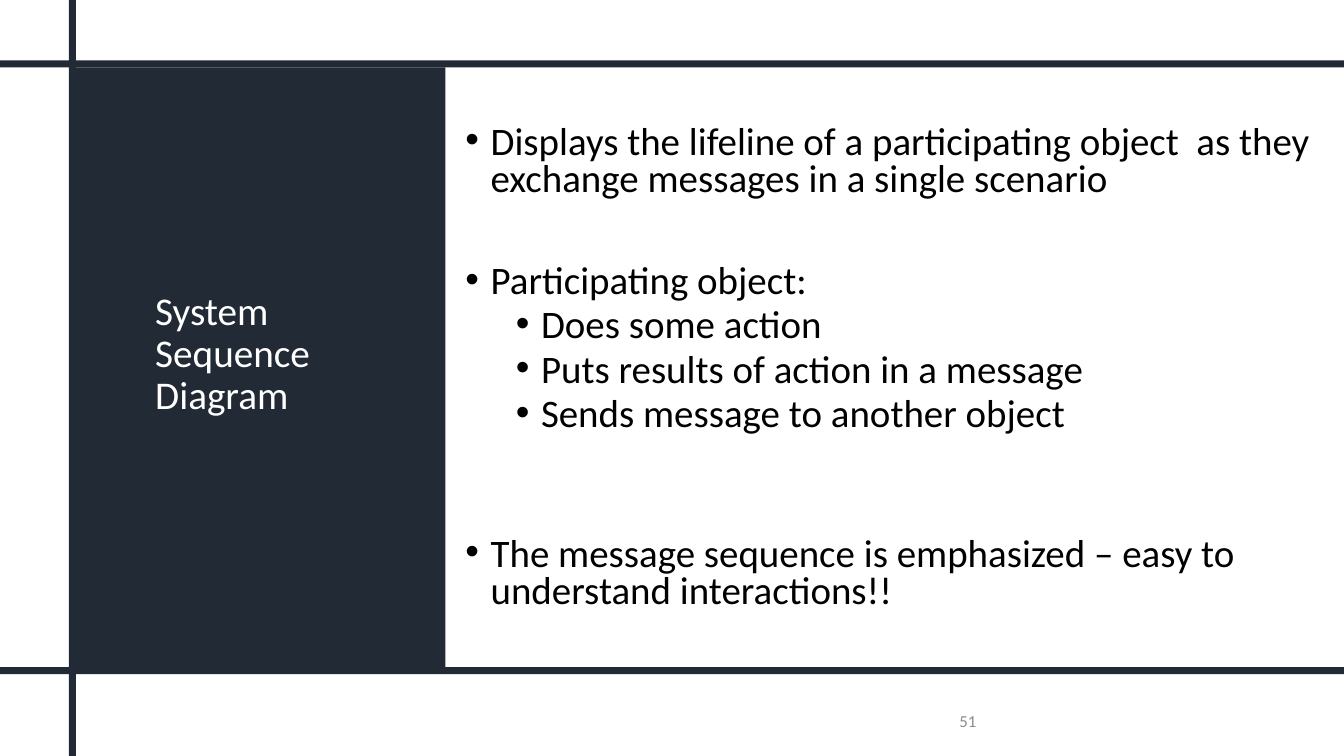
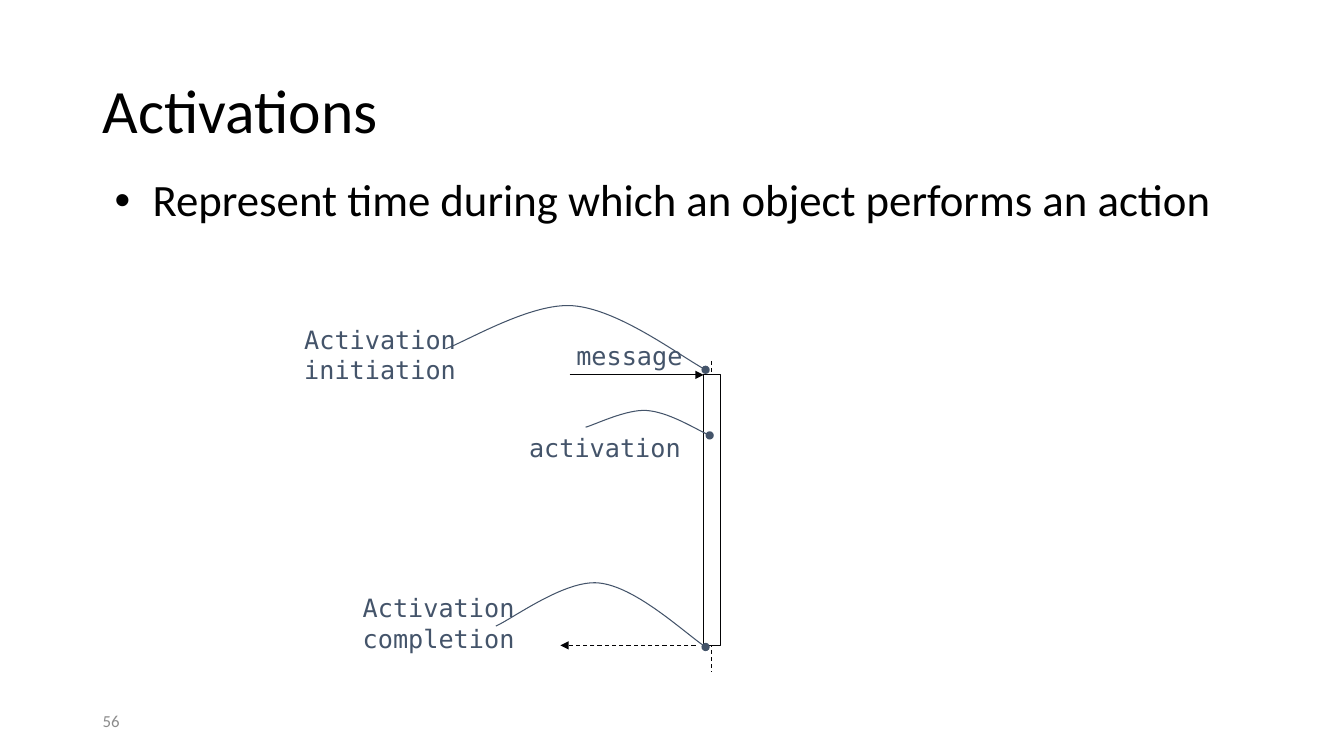
from dataclasses import dataclass

from lxml.etree import SubElement
from pptx import Presentation
from pptx.dml.color import RGBColor
from pptx.enum.dml import MSO_LINE
from pptx.enum.shapes import MSO_CONNECTOR, MSO_SHAPE
from pptx.enum.text import MSO_ANCHOR, MSO_AUTO_SIZE, PP_ALIGN
from pptx.oxml.ns import qn
from pptx.util import Pt


@dataclass(frozen=True)
class Theme:
    navy: str = "222A35"
    slate: str = "44546A"
    gray: str = "8C8C8C"
    ink: str = "030305"
    black: str = "000000"
    white: str = "FFFFFF"
    sans: str = "Calibri"
    mono: str = "DejaVu Sans Mono"
    title_size: float = 44
    panel_title_size: float = 28
    bullet_size: float = 32
    panel_bullet_size: float = 27.8
    label_size: float = 18
    number_size: float = 12
    line_width: float = 0.75


THEME = Theme()
WIDTH, HEIGHT = 960, 540
BAND = 5

SEQUENCE_TITLE = "System Sequence Diagram"
SEQUENCE_BULLETS = [
    ("Displays the lifeline of a participating object  as they exchange messages in a single scenario", 0, 0),
    ("Participating object:", 0, 46),
    ("Does some action", 1, 5),
    ("Puts results of action in a message", 1, 5),
    ("Sends message to another object", 1, 5),
    ("The message sequence is emphasized – easy to understand interactions!!", 0, 73),
]
BANDS = [
    (0, 476.6, WIDTH, BAND),
    (49.3, 0, BAND, HEIGHT),
    (0, 43.2, WIDTH, BAND),
]

ACTIVATION_TITLE = "Activations"
ACTIVATION_BULLETS = [("Represent time during which an object performs an action", 0, 0)]
LABELS = [
    (["message"], (404.6, 239.8, 91, 29)),
    (["activation"], (370.8, 305.3, 123, 29)),
    (["Activation", "initiation"], (210.2, 228.2, 123, 51)),
    (["Activation", "completion"], (252, 419.8, 123, 51)),
]
ACTIVATION_BAR = (502.6, 267.8, 12.2, 193.4)
LIFELINE = ((508.5, 257.8), (508.5, 480.2))
MESSAGE_ARROW = ((406.8, 267.8), (502.6, 267.8))
RETURN_ARROW = ((496.8, 461), (400.3, 461))
CALLOUT_CURVE = [(0, 0.69), (0.08, 0.58), (0.33, 0), (0.49, 0.05), (0.66, 0.1), (0.9, 0.79), (1, 1)]
CALLOUTS = [
    (418.3, 292.3, 88.6, 18.7),
    (354.2, 414, 149.8, 48.2),
    (318.2, 216, 185.8, 48.2),
]


def color(value):
    return RGBColor.from_string(value)


def place(shape, box):
    shape.left, shape.top, shape.width, shape.height = (Pt(length) for length in box)


def add_bullet(paragraph, level, hanging):
    properties = paragraph._p.get_or_add_pPr()
    properties.set("marL", str(Pt(hanging * (1 + 2 * level))))
    properties.set("indent", str(-Pt(hanging)))
    SubElement(properties, qn("a:buFont"), typeface="Arial")
    SubElement(properties, qn("a:buChar"), char="•")


def write_text(shape, items, *, size, fill, font=THEME.sans, anchor=MSO_ANCHOR.TOP,
               spacing=1.0, hanging=0, wrap=True):
    frame = shape.text_frame
    frame.auto_size = MSO_AUTO_SIZE.NONE
    frame.word_wrap = wrap
    frame.vertical_anchor = anchor
    for index, (text, level, before) in enumerate(items):
        paragraph = frame.add_paragraph() if index else frame.paragraphs[0]
        if hanging:
            add_bullet(paragraph, level, hanging)
        paragraph.level = level
        paragraph.alignment = PP_ALIGN.LEFT
        paragraph.line_spacing = spacing
        paragraph.space_before = Pt(before)
        run = paragraph.add_run()
        run.text = text
        run.font.name = font
        run.font.size = Pt(size)
        run.font.color.rgb = color(fill)


def add_text(slide, items, box, **text_format):
    shape = slide.shapes.add_textbox(*(Pt(length) for length in box))
    write_text(shape, items, **text_format)


def add_titled_slide(presentation, title, box, number, number_left, **title_format):
    slide = presentation.slides.add_slide(presentation.slide_layouts[5])
    place(slide.shapes.title, box)
    write_text(slide.shapes.title, [(title, 0, 0)], anchor=MSO_ANCHOR.MIDDLE,
               spacing=0.9, **title_format)
    add_text(slide, [(number, 0, 0)], (number_left, 500.4, 216, 28.8),
             size=THEME.number_size, fill=THEME.gray, anchor=MSO_ANCHOR.MIDDLE)
    return slide


def add_rectangle(slide, box, fill, outline=None):
    shape = slide.shapes.add_shape(MSO_SHAPE.RECTANGLE, *(Pt(length) for length in box))
    shape.shadow.inherit = False
    shape.fill.solid()
    shape.fill.fore_color.rgb = color(fill)
    if outline:
        style_line(shape, outline)
    else:
        shape.line.fill.background()
    return shape


def style_line(shape, stroke, dashed=False, head=None):
    shape.line.color.rgb = color(stroke)
    shape.line.width = Pt(THEME.line_width)
    if dashed:
        shape.line.dash_style = MSO_LINE.DASH
    if head:
        SubElement(shape.element.find(".//" + qn("a:ln")), qn("a:tailEnd"), type=head)


def add_line(slide, ends, **line_format):
    (left, top), (right, bottom) = ends
    connector = slide.shapes.add_connector(
        MSO_CONNECTOR.STRAIGHT, Pt(left), Pt(top), Pt(right), Pt(bottom))
    style_line(connector, THEME.ink, **line_format)
    SubElement(connector.element.spPr, qn("a:effectLst"))


def add_callout(slide, box):
    left, top, width, height = box
    points = [(Pt(left + x * width), Pt(top + y * height)) for x, y in CALLOUT_CURVE]
    builder = slide.shapes.build_freeform(*points[0])
    builder.add_line_segments(points[1:], close=False)
    shape = builder.convert_to_shape()
    outline = shape.element.find(".//" + qn("a:path"))
    segments = outline.findall(qn("a:lnTo"))
    for start in range(0, len(segments), 3):
        curve = SubElement(outline, qn("a:cubicBezTo"))
        for segment in segments[start:start + 3]:
            curve.append(segment[0])
            outline.remove(segment)
    shape.shadow.inherit = False
    shape.fill.background()
    style_line(shape, THEME.slate, head="oval")


def build_sequence_slide(presentation):
    slide = add_titled_slide(presentation, SEQUENCE_TITLE, (103.7, 79.2, 159.8, 348.5),
                             "51", 678.2, size=THEME.panel_title_size, fill=THEME.white)
    panel = add_rectangle(slide, (51.8, 48.2, 266.4, 428.4), THEME.navy)
    slide.shapes.title.element.addprevious(panel.element)
    add_text(slide, SEQUENCE_BULLETS, (325.4, 86, 633.6, 370), size=THEME.panel_bullet_size,
             fill=THEME.black, spacing=0.8, hanging=18)
    for band in BANDS:
        add_rectangle(slide, band, THEME.navy)


def build_activation_slide(presentation):
    slide = add_titled_slide(presentation, ACTIVATION_TITLE, (66.2, 28.8, 828, 104.4),
                             "56", 66.2, size=THEME.title_size, fill=THEME.black)
    add_text(slide, ACTIVATION_BULLETS, (74.9, 123.8, 810.7, 102.2), size=THEME.bullet_size,
             fill=THEME.black, spacing=0.9, hanging=27)
    add_line(slide, LIFELINE, dashed=True)
    add_rectangle(slide, ACTIVATION_BAR, THEME.white, THEME.ink)
    add_line(slide, MESSAGE_ARROW, head="triangle")
    add_line(slide, RETURN_ARROW, dashed=True, head="triangle")
    for lines, box in LABELS:
        add_text(slide, [(line, 0, 0) for line in lines], box, size=THEME.label_size,
                 fill=THEME.slate, font=THEME.mono, wrap=False)
    for box in CALLOUTS:
        add_callout(slide, box)


def main():
    presentation = Presentation()
    presentation.slide_width, presentation.slide_height = Pt(WIDTH), Pt(HEIGHT)
    build_sequence_slide(presentation)
    build_activation_slide(presentation)
    presentation.save("out.pptx")


if __name__ == "__main__":
    main()
